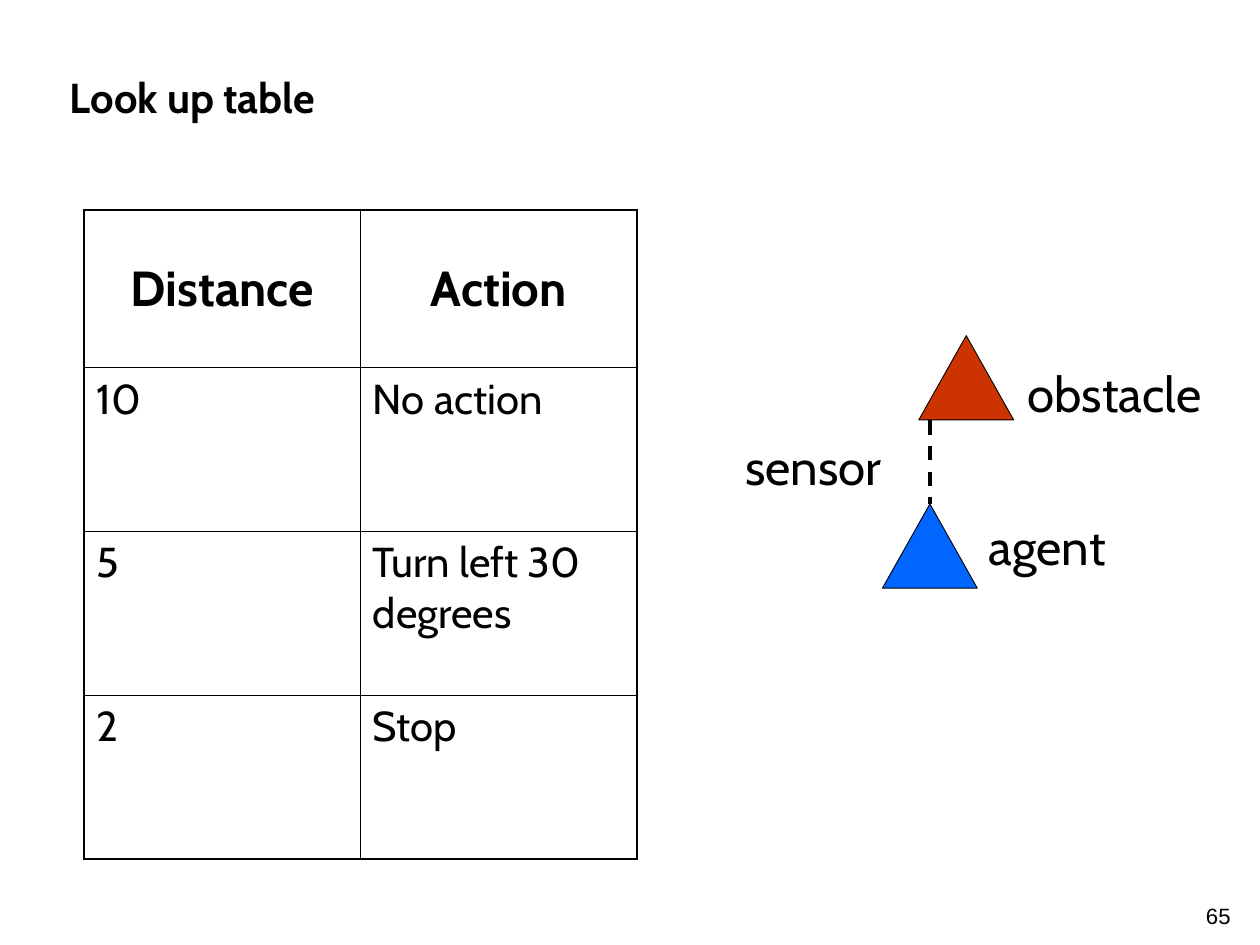
from lxml.etree import SubElement
from pptx import Presentation
from pptx.dml.color import RGBColor
from pptx.enum.dml import MSO_LINE
from pptx.enum.shapes import MSO_CONNECTOR, MSO_SHAPE
from pptx.enum.text import MSO_ANCHOR, PP_ALIGN
from pptx.oxml import parse_xml
from pptx.oxml.ns import nsdecls, qn
from pptx.util import Inches, Pt

WIDTH, HEIGHT = 14.22, 10.67
BLACK = "000000"
ROWS = [
    ("Distance", "Action"),
    ("10", "No action"),
    ("5", "Turn left 30 degrees"),
    ("2", "Stop"),
]


def color(value):
    return RGBColor.from_string(value)


def write(frame, text, size=40, font="Cabin", bold=False, align=PP_ALIGN.LEFT):
    para = frame.paragraphs[0]
    para.alignment = align
    span = para.add_run()
    span.text = text
    span.font.size = Pt(size)
    span.font.name = font
    span.font.bold = bold
    span.font.color.rgb = color(BLACK)


def add_label(page, box, text, anchor=MSO_ANCHOR.TOP, inset=0.1, **style):
    frame = page.shapes.add_textbox(*map(Inches, box)).text_frame
    frame.word_wrap = True
    frame.vertical_anchor = anchor
    frame.margin_left = frame.margin_right = Inches(inset)
    write(frame, text, **style)


def add_borders(cell, widths):
    properties = cell._tc.get_or_add_tcPr()
    for index, (side, width) in enumerate(zip("LRTB", widths)):
        border = parse_xml(
            f'<a:ln{side} {nsdecls("a")} w="{Pt(width)}"><a:solidFill>'
            f'<a:srgbClr val="{BLACK}"/></a:solidFill></a:ln{side}>'
        )
        properties.insert(index, border)


def add_lookup_table(page, box):
    row_count, column_count = len(ROWS), len(ROWS[0])
    table = page.shapes.add_table(row_count, column_count, *map(Inches, box)).table
    table.first_row = table.horz_banding = False
    header_height = 1.78
    body_height = (box[3] - header_height) / (row_count - 1)
    for column in table.columns:
        column.width = Inches(box[2] / column_count)
    for r, texts in enumerate(ROWS):
        header = r == 0
        table.rows[r].height = Inches(header_height if header else body_height)
        for c, text in enumerate(texts):
            cell = table.cell(r, c)
            cell.margin_left = cell.margin_right = Inches(0.14)
            cell.margin_top = cell.margin_bottom = Inches(0.07)
            cell.vertical_anchor = MSO_ANCHOR.MIDDLE if header else MSO_ANCHOR.TOP
            cell.fill.background()
            outer = (c == 0, c == column_count - 1, header, r == row_count - 1)
            add_borders(cell, [2.25 if edge else 1 for edge in outer])
            write(cell.text_frame, text, size=40 if header else 34, bold=header,
                  align=PP_ALIGN.CENTER if header else PP_ALIGN.LEFT)


def add_triangle(page, box, fill):
    triangle = page.shapes.add_shape(MSO_SHAPE.ISOSCELES_TRIANGLE, *map(Inches, box))
    triangle.shadow.inherit = False
    triangle.fill.solid()
    triangle.fill.fore_color.rgb = color(fill)
    triangle.line.color.rgb = color(BLACK)
    triangle.line.width = Pt(0.75)


def add_sensor_diagram(page, box):
    left, top, width, height = box
    band = height / 3
    side = 1.07
    agent_left = left + 1.65
    agent_top = top + 2 * band
    beam = agent_left + side / 2

    add_triangle(page, (agent_left, agent_top, side, band), "0066FF")
    sensor = page.shapes.add_connector(
        MSO_CONNECTOR.STRAIGHT, *map(Inches, (beam, top + band, beam, agent_top)))
    SubElement(sensor._element.spPr, qn("a:effectLst"))
    sensor.line.color.rgb = color(BLACK)
    sensor.line.width = Pt(3)
    sensor.line.dash_style = MSO_LINE.DASH
    add_triangle(page, (left + 2.06, top, side, band), "CC3300")

    for text, x, y, label_width in (
        ("agent", 2.75, 1.99, 1.6),
        ("obstacle", 3.19, 0.26, 2.23),
        ("sensor", 0, 1.09, 1.82),
    ):
        add_label(page, (left + x, top + y, label_width, 0.78), text)


def main():
    deck = Presentation()
    deck.slide_width, deck.slide_height = Inches(WIDTH), Inches(HEIGHT)
    page = deck.slides.add_slide(deck.slide_layouts[6])
    add_label(page, (0.73, 0.36, 12.68, 1.07), "Look up table",
              anchor=MSO_ANCHOR.BOTTOM, inset=0.06, size=34, bold=True)
    add_sensor_diagram(page, (8.31, 3.79, 5.42, 2.85))
    add_lookup_table(page, (0.95, 2.37, 6.24, 7.33))
    add_label(page, (13.55, 10.15, 0.4, 0.39), "65", anchor=MSO_ANCHOR.BOTTOM,
              inset=0, size=18, font="Arial", align=PP_ALIGN.CENTER)
    deck.save("out.pptx")


if __name__ == "__main__":
    main()
